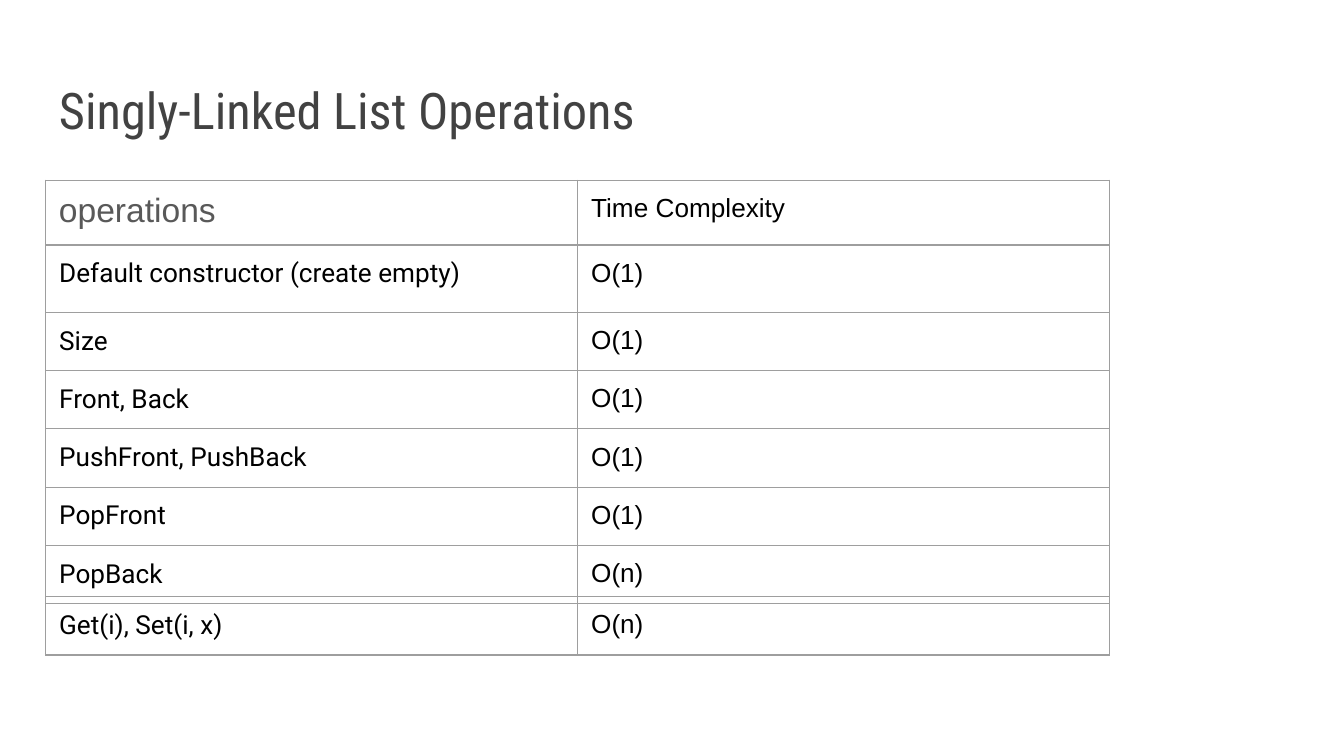
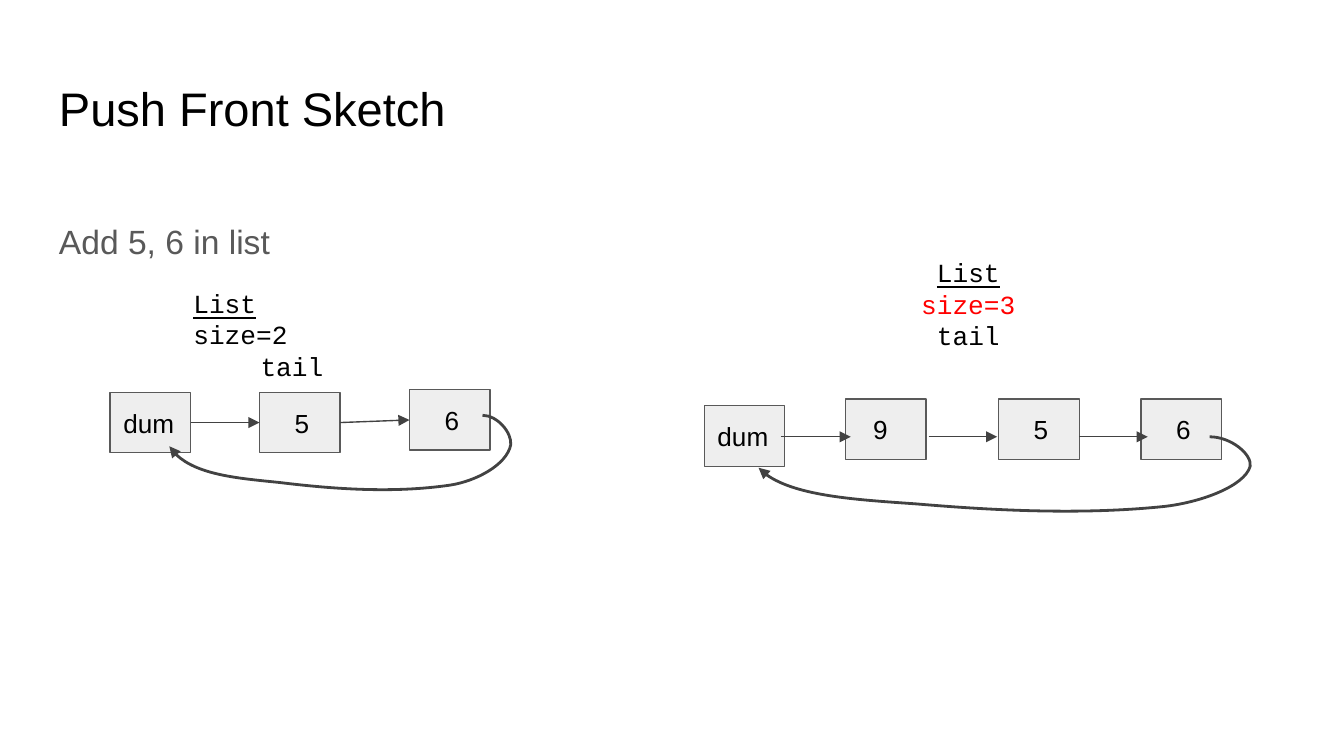
from lxml.etree import SubElement
from pptx import Presentation
from pptx.dml.color import RGBColor
from pptx.enum.shapes import MSO_CONNECTOR, MSO_SHAPE
from pptx.enum.text import MSO_ANCHOR, PP_ALIGN
from pptx.oxml import parse_xml
from pptx.oxml.ns import nsdecls, qn
from pptx.util import Pt

BLACK = RGBColor(0x00, 0x00, 0x00)
RED = RGBColor(0xFF, 0x00, 0x00)
DARK = RGBColor(0x42, 0x42, 0x42)
GRAY = RGBColor(0x59, 0x59, 0x59)
PALE = RGBColor(0xEE, 0xEE, 0xEE)
RULE = RGBColor(0x9E, 0x9E, 0x9E)
WHITE = RGBColor(0xFF, 0xFF, 0xFF)

RECT = MSO_SHAPE.RECTANGLE
STRAIGHT = MSO_CONNECTOR.STRAIGHT
MIDDLE = MSO_ANCHOR.MIDDLE
LEFT, CENTER = PP_ALIGN.LEFT, PP_ALIGN.CENTER

SANS, MONO, BODY, HEAD = "Arial", "Courier New", "Roboto", "Roboto Condensed"
EDGE, WIDE, INSET = 24.5, 671, 7.2
BOX_W, BOX_H = 43.2, 32.4
PITCH = Pt(16.8)

ROWS = [
    ("", "Time Complexity", 34.8),
    ("Default constructor (create empty)", "O(1)", 36),
    ("Size", "O(1)", 31),
    ("Front, Back", "O(1)", 31),
    ("PushFront, PushBack", "O(1)", 31),
    ("PopFront", "O(1)", 31),
    ("PopBack", "O(n)", 31),
]
LAST = [("Get(i), Set(i, x)", "O(n)", 31)]

LOOP = [
    (8, 0), (15.8, 9.4), (15.1, 15.8),
    (13, 26.6), (-3.6, 35.3), (-17.3, 37.4),
    (-47.5, 41.8), (-79.2, 39.6), (-108.7, 36),
    (-130.3, 33.8), (-158.4, 31.7), (-167.8, 16.6),
]


def write(frame, text, size=14, font=SANS, color=BLACK, under=False,
          align=LEFT, indent=0, pitch=None, before=0):
    para = frame.paragraphs[0]
    if para.runs:
        para = frame.add_paragraph()
    para.alignment = align
    para.space_before = Pt(before)
    if pitch:
        para.line_spacing = pitch
    if indent:
        para._p.get_or_add_pPr().set("marL", str(Pt(indent)))
    if text:
        para.add_run().text = text
    for face in [para.font] + [run.font for run in para.runs]:
        face.size, face.name, face.underline = Pt(size), font, under
        face.color.rgb = color


def pad(frame):
    frame.word_wrap = True
    frame.margin_left = frame.margin_right = Pt(INSET)
    frame.margin_top = frame.margin_bottom = Pt(INSET)
    return frame


def add_text(slide, *area):
    return pad(slide.shapes.add_textbox(*map(Pt, area)).text_frame)


def add_title(slide, text, **style):
    write(add_text(slide, EDGE, 35.3, WIDE, 45.4), text, **style)


def add_body(slide, top, text):
    frame = add_text(slide, EDGE, top, WIDE, 269.3)
    write(frame, text, size=18, color=GRAY, pitch=1.15)
    return frame


def add_edges(cell):
    props = cell._tc.get_or_add_tcPr()
    for spot, side in enumerate("LRTB"):
        props.insert(spot, parse_xml(
            f'<a:ln{side} {nsdecls("a")} w="{Pt(0.75)}"><a:solidFill>'
            f'<a:srgbClr val="{RULE}"/></a:solidFill></a:ln{side}>'))


def add_grid(slide, top, rows):
    high = sum(row[2] for row in rows)
    grid = slide.shapes.add_table(
        len(rows), 2, Pt(EDGE), Pt(top), Pt(570), Pt(high)).table
    grid.first_row = grid.horz_banding = False
    for line, (name, cost, tall) in zip(grid.rows, rows):
        line.height = Pt(tall)
        for cell, text, font in zip(line.cells, (name, cost), (BODY, SANS)):
            cell.fill.background()
            cell.margin_left = cell.margin_right = Pt(INSET)
            cell.margin_top = cell.margin_bottom = Pt(INSET)
            write(cell.text_frame, text, font=font)
            add_edges(cell)


def add_node(slide, left, top, text, indent):
    node = slide.shapes.add_shape(
        RECT, Pt(left), Pt(top), Pt(BOX_W), Pt(BOX_H))
    node.shadow.inherit = False
    node.fill.solid()
    node.fill.fore_color.rgb = PALE
    node.line.color.rgb = GRAY
    node.line.width = Pt(0.75)
    frame = pad(node.text_frame)
    frame.vertical_anchor = MIDDLE
    write(frame, text, indent=indent)
    return node


def add_head(shape, width):
    shape.line.color.rgb = DARK
    shape.line.width = Pt(width)
    line = shape.element.spPr.get_or_add_ln()
    SubElement(line, qn("a:tailEnd"), type="triangle")


def add_arrow(slide, start=(0, 0), end=(0, 0)):
    arrow = slide.shapes.add_connector(STRAIGHT, *map(Pt, start + end))
    add_head(arrow, 0.75)
    SubElement(arrow.element.spPr, qn("a:effectLst"))
    return arrow


def join(slide, first, second):
    arrow = add_arrow(slide)
    arrow.begin_connect(first, 3)
    arrow.end_connect(second, 1)


def add_loop(slide, left, top, stretch=1):
    pen = slide.shapes.build_freeform(Pt(left), Pt(top))
    pen.add_line_segments(
        [(Pt(left + x * stretch), Pt(top + y)) for x, y in LOOP], close=False)
    loop = pen.convert_to_shape()
    loop.shadow.inherit = False
    loop.fill.background()
    add_head(loop, 1.5)
    track = next(loop.element.iter(qn("a:path")))
    steps = track.findall(qn("a:lnTo"))
    for i in range(0, len(steps), 3):
        curve = SubElement(track, qn("a:cubicBezTo"))
        for step in steps[i:i + 3]:
            curve.append(step[0])
            track.remove(step)


def add_slide(deck):
    slide = deck.slides.add_slide(deck.slide_layouts[6])
    slide.background.fill.solid()
    slide.background.fill.fore_color.rgb = WHITE
    return slide


def draw_costs(deck):
    slide = add_slide(deck)
    add_title(slide, "Singly-Linked List Operations",
              size=27, font=HEAD, color=DARK)
    add_body(slide, 90.7, "operations")
    add_grid(slide, 96.5, ROWS)
    add_grid(slide, 319.7, LAST)


def draw_push(deck):
    slide = add_slide(deck)
    add_title(slide, "Push Front Sketch", size=25.2)
    frame = add_body(slide, 108, "Add 5, 6 in list")
    write(frame, "List", font=MONO, under=True, indent=72,
          pitch=PITCH, before=14)
    write(frame, "size=2", font=MONO, indent=72, pitch=PITCH)
    write(frame, "tail", font=MONO, indent=108, pitch=PITCH)

    old = [add_node(slide, *node) for node in (
        (59, 210.2, "dum", 0), (139, 210.2, "5", 11.7),
        (219.4, 208.8, "6", 11.7))]
    add_loop(slide, 258.5, 222.5)
    for first, second in zip(old, old[1:]):
        join(slide, first, second)

    frame = add_text(slide, 482.4, 130.3, 72.7, 54)
    for text, color in (("List", BLACK), ("size=3", RED), ("tail", BLACK)):
        write(frame, text, font=MONO, color=color, under=text == "List",
              align=CENTER, pitch=PITCH)

    for node in ((377.3, 217.4, "dum", 0), (452.9, 213.8, "9", 7.8),
                 (535, 213.8, "5", 11.7), (611.3, 213.8, "6", 11.7)):
        add_node(slide, *node)
    add_loop(slide, 648, 234, 1.44)
    for left, right in ((418.3, 455.8), (497.5, 534.2), (578.2, 614.9)):
        add_arrow(slide, (left, 234), (right, 234))


def main():
    deck = Presentation()
    deck.slide_width, deck.slide_height = Pt(720), Pt(405)
    draw_costs(deck)
    draw_push(deck)
    deck.save("out.pptx")


if __name__ == "__main__":
    main()
